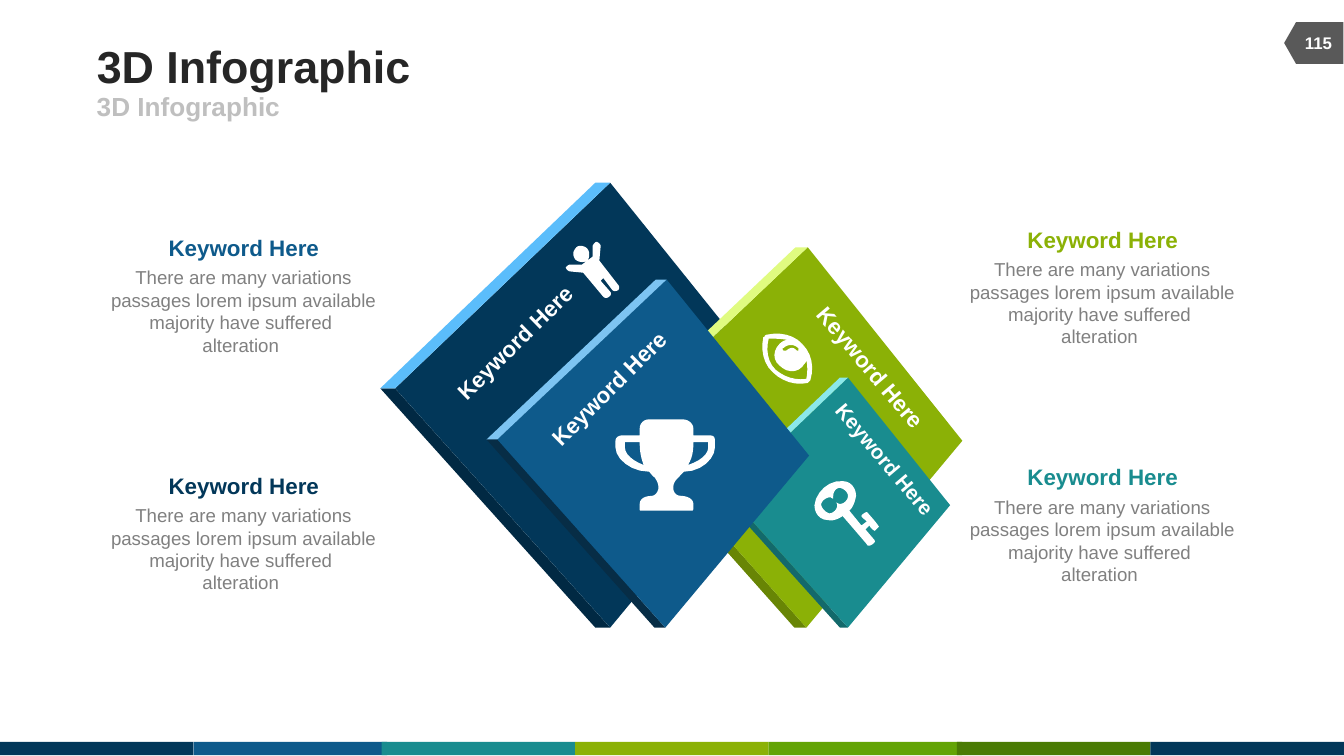
"""Build a 3D infographic slide with four tilted blocks, icons and captions."""
from pptx import Presentation
from pptx.dml.color import RGBColor
from pptx.enum.shapes import MSO_SHAPE as SHAPE
from pptx.enum.text import MSO_ANCHOR as ANCHOR, PP_ALIGN as ALIGN
from pptx.util import Inches, Pt

COLORS = {
    "navy": "023759", "navy_light": "5BBDFB", "navy_dark": "012943",
    "blue": "0E5A8B", "blue_light": "7DC4F2", "blue_dark": "072D46",
    "lime": "8BB106", "lime_light": "E0FB80", "lime_dark": "688505",
    "teal": "198C8F", "teal_light": "8BE8EB", "teal_dark": "13696B",
    "green": "63A406", "forest": "4A7B04", "white": "FFFFFF",
    "title": "262626", "subtitle": "BFBFBF", "body": "808080", "badge": "595959",
}
KEYWORD = "Keyword Here"
BODY = ("There are many variations passages lorem ipsum available "
        "majority have suffered \valteration ")

prs = Presentation()
prs.slide_width = Inches(10)
prs.slide_height = prs.slide_width * 9 // 16
slide = prs.slides.add_slide(prs.slide_layouts[5])
shapes = slide.shapes


def write(box, text, size, color, align=ALIGN.CENTER, bold=True, wrap=True, anchor=ANCHOR.TOP):
    frame = box.text_frame
    frame.margin_left = frame.margin_right = frame.margin_top = frame.margin_bottom = 0
    frame.word_wrap, frame.vertical_anchor = wrap, anchor
    frame.text = text
    paragraph = frame.paragraphs[0]
    paragraph.alignment = align
    for run in paragraph.runs:
        run.font.name, run.font.size, run.font.bold = "Arial", Pt(size), bold
        run.font.color.rgb = RGBColor.from_string(COLORS[color])


def draw_outline(contours, color, steps=6):
    builder = shapes.build_freeform(Inches(contours[0][0][0]), Inches(contours[0][0][1]))
    for number, (start, *segments) in enumerate(contours):
        if number:
            builder.move_to(Inches(start[0]), Inches(start[1]))
        points, (x, y) = [], start
        for segment in segments:
            if len(segment) == 2:
                points.append(segment)
            else:
                x1, y1, x2, y2, x3, y3 = segment
                for t in (step / steps for step in range(1, steps + 1)):
                    a, b, c, d = (1 - t) ** 3, 3 * t * (1 - t) ** 2, 3 * t * t * (1 - t), t ** 3
                    points.append((a * x + b * x1 + c * x2 + d * x3,
                                   a * y + b * y1 + c * y2 + d * y3))
            x, y = segment[-2:]
        builder.add_line_segments([(Inches(px), Inches(py)) for px, py in points], close=True)
    outline = builder.convert_to_shape()
    outline.shadow.inherit = False
    outline.fill.solid()
    outline.fill.fore_color.rgb = RGBColor.from_string(COLORS[color])
    outline.line.fill.background()


stripe_colors = ["navy", "blue", "teal", "lime", "green", "forest", "navy"]
stripe_lefts = [0, 1.44, 2.84, 4.28, 5.72, 7.12, 8.56]
furniture = [(SHAPE.RECTANGLE, (left, 5.52, 1.44, 0.1), 0, color)
             for left, color in zip(stripe_lefts, stripe_colors)]
furniture.append((SHAPE.FLOWCHART_OFFPAGE_CONNECTOR, (9.62, 0.1, 0.31, 0.44), 90, "badge"))
for kind, bounds, rotation, color in furniture:
    piece = shapes.add_shape(kind, *map(Inches, bounds))
    piece.rotation = rotation
    piece.shadow.inherit = False
    piece.fill.solid()
    piece.fill.fore_color.rgb = RGBColor.from_string(COLORS[color])
    piece.line.fill.background()

title = shapes.title
title.left, title.top, title.width, title.height = map(Inches, (0.72, 0.29, 6.17, 0.39))
write(title, "3D Infographic", 24, "title", ALIGN.LEFT, anchor=ANCHOR.MIDDLE)
subtitle = shapes.add_textbox(*map(Inches, (0.72, 0.68, 4.5, 0.22)))
write(subtitle, "3D Infographic", 14, "subtitle", ALIGN.LEFT, anchor=ANCHOR.MIDDLE)
page_number = shapes.add_textbox(*map(Inches, (9.6, 0.17, 0.42, 0.3)))
write(page_number, "115", 9, "white", anchor=ANCHOR.MIDDLE)

blocks = [
    ("navy", (4.54, 1.36), (5.89, 3.04), (4.54, 4.67), (2.94, 2.89), 0.11),
    ("lime", (6.01, 1.84), (7.16, 3.28), (6, 4.67), (4.64, 3.14), 0.09),
    ("teal", (6.31, 2.81), (7.07, 3.76), (6.31, 4.67), (5.41, 3.67), 0.06),
    ("blue", (4.96, 2.08), (6.02, 3.39), (4.95, 4.67), (3.7, 3.27), 0.08),
]
for color, top, right, bottom, left, depth in blocks:
    back_top, back_bottom, back_left = [(x - depth, y) for x, y in (top, bottom, left)]
    draw_outline([[left, back_left, back_bottom, bottom]], color + "_dark")
    draw_outline([[top, right, bottom, left]], color)
    draw_outline([[top, left, back_left, back_top]], color + "_light")

block_keywords = [
    (3.26, 2.45, 1.13, 0.2, 315.7, 12),
    (3.96, 2.79, 1.13, 0.2, 315.2, 12),
    (5.91, 2.63, 1.13, 0.2, 49.8, 12),
    (6.06, 3.32, 1.04, 0.19, 49.8, 11),
]
for *bounds, rotation, size in block_keywords:
    block_keyword = shapes.add_textbox(*map(Inches, bounds))
    block_keyword.rotation = rotation
    write(block_keyword, KEYWORD, size, "white", ALIGN.RIGHT, wrap=False)

trophy = [
    [(5.32, 3.33), (5.32, 3.41, 5.22, 3.51, 5.09, 3.51), (5.07, 3.53, 5.05, 3.55, 5.05, 3.55),
     (5.02, 3.58, 5.01, 3.6, 5.01, 3.63), (5.01, 3.65, 5.02, 3.69, 5.07, 3.69),
     (5.11, 3.69, 5.16, 3.71, 5.16, 3.75), (5.16, 3.78), (5.16, 3.8, 5.15, 3.8, 5.15, 3.8),
     (4.77, 3.8), (4.76, 3.8, 4.76, 3.8, 4.76, 3.78), (4.76, 3.75),
     (4.76, 3.71, 4.8, 3.69, 4.85, 3.69), (4.88, 3.69, 4.9, 3.65, 4.9, 3.63),
     (4.9, 3.6, 4.89, 3.58, 4.87, 3.55), (4.86, 3.55, 4.85, 3.53, 4.83, 3.51),
     (4.69, 3.51, 4.58, 3.41, 4.58, 3.33), (4.58, 3.28), (4.58, 3.25, 4.61, 3.24, 4.63, 3.24),
     (4.76, 3.24), (4.76, 3.19), (4.76, 3.15, 4.79, 3.12, 4.83, 3.12), (5.08, 3.12),
     (5.12, 3.12, 5.16, 3.15, 5.16, 3.19), (5.16, 3.24), (5.28, 3.24),
     (5.31, 3.24, 5.32, 3.25, 5.32, 3.28)],
    [(4.76, 3.29), (4.65, 3.29), (4.65, 3.33), (4.65, 3.38, 4.71, 3.43, 4.79, 3.46),
     (4.77, 3.41, 4.76, 3.36, 4.76, 3.29)],
    [(5.27, 3.29), (5.16, 3.29), (5.16, 3.36, 5.15, 3.41, 5.12, 3.46),
     (5.21, 3.43, 5.27, 3.38, 5.27, 3.33)],
]
key = [
    [(6.51, 3.95), (6.5, 3.95, 6.47, 3.92, 6.47, 3.91), (6.44, 3.94), (6.5, 4.01),
     (6.5, 4.01, 6.51, 4.02, 6.51, 4.03), (6.51, 4.04, 6.48, 4.06, 6.47, 4.06),
     (6.46, 4.06, 6.45, 4.06, 6.45, 4.05), (6.27, 3.84), (6.24, 3.86, 6.2, 3.88, 6.16, 3.87),
     (6.1, 3.87, 6.06, 3.82, 6.06, 3.76), (6.07, 3.66, 6.17, 3.57, 6.27, 3.58),
     (6.33, 3.58, 6.37, 3.63, 6.37, 3.69), (6.36, 3.74, 6.35, 3.77, 6.32, 3.8), (6.41, 3.91),
     (6.45, 3.88), (6.44, 3.87, 6.41, 3.85, 6.41, 3.84), (6.41, 3.83, 6.44, 3.81, 6.45, 3.81),
     (6.46, 3.82), (6.46, 3.82, 6.54, 3.91, 6.54, 3.92), (6.54, 3.92, 6.51, 3.95, 6.51, 3.95)],
    [(6.25, 3.63), (6.22, 3.63, 6.2, 3.66, 6.2, 3.69), (6.2, 3.71),
     (6.19, 3.71, 6.18, 3.7, 6.18, 3.7), (6.15, 3.7, 6.12, 3.72, 6.11, 3.75),
     (6.11, 3.78, 6.14, 3.81, 6.17, 3.82), (6.2, 3.82, 6.23, 3.79, 6.23, 3.76),
     (6.23, 3.75, 6.23, 3.75, 6.22, 3.74), (6.23, 3.74, 6.24, 3.75, 6.25, 3.75),
     (6.28, 3.75, 6.31, 3.72, 6.31, 3.69), (6.31, 3.67, 6.29, 3.64, 6.25, 3.63)],
]
eye = [
    [(6.01, 2.85), (5.92, 2.87, 5.82, 2.84, 5.75, 2.77), (5.68, 2.71, 5.66, 2.6, 5.68, 2.51),
     (5.69, 2.51, 5.69, 2.5, 5.69, 2.5), (5.7, 2.49, 5.71, 2.49, 5.71, 2.49),
     (5.8, 2.47, 5.91, 2.49, 5.97, 2.56), (6.04, 2.63, 6.06, 2.73, 6.03, 2.83),
     (6.03, 2.83, 6.03, 2.83, 6.02, 2.84), (6.02, 2.84, 6.01, 2.85, 6.01, 2.85)],
    [(6, 2.68), (6, 2.7, 5.98, 2.71, 5.97, 2.73), (5.92, 2.78, 5.85, 2.77, 5.8, 2.72),
     (5.75, 2.68, 5.75, 2.61, 5.8, 2.56), (5.82, 2.54, 5.84, 2.53, 5.86, 2.53),
     (5.81, 2.52, 5.76, 2.52, 5.72, 2.52), (5.7, 2.6, 5.71, 2.69, 5.77, 2.75),
     (5.84, 2.81, 5.92, 2.83, 6, 2.82), (6.01, 2.77, 6.01, 2.72, 6, 2.68)],
    [(5.94, 2.59), (5.91, 2.56, 5.86, 2.56, 5.83, 2.59), (5.82, 2.59, 5.82, 2.6, 5.83, 2.61),
     (5.83, 2.61, 5.84, 2.61, 5.85, 2.61), (5.87, 2.59, 5.9, 2.58, 5.92, 2.6),
     (5.93, 2.61, 5.93, 2.61, 5.94, 2.61), (5.94, 2.6, 5.94, 2.59, 5.94, 2.59)],
]
person = [
    [(4.46, 1.94), (4.6, 2.12), (4.61, 2.13, 4.61, 2.15, 4.6, 2.16),
     (4.58, 2.17, 4.56, 2.17, 4.55, 2.15), (4.49, 2.07), (4.47, 2.09), (4.54, 2.17),
     (4.55, 2.18, 4.55, 2.2, 4.53, 2.21), (4.52, 2.22, 4.5, 2.22, 4.49, 2.21), (4.34, 2.03),
     (4.24, 2.02), (4.23, 2.02, 4.21, 2, 4.21, 1.99), (4.22, 1.98, 4.23, 1.97, 4.24, 1.97),
     (4.33, 1.97), (4.41, 1.91), (4.41, 1.83), (4.42, 1.81, 4.43, 1.8, 4.44, 1.8),
     (4.45, 1.8, 4.47, 1.82, 4.47, 1.83)],
    [(4.37, 1.94), (4.34, 1.96, 4.3, 1.95, 4.28, 1.93), (4.26, 1.9, 4.26, 1.87, 4.29, 1.84),
     (4.31, 1.82, 4.35, 1.83, 4.37, 1.85), (4.39, 1.87, 4.39, 1.92, 4.37, 1.94)],
]
for icon in (trophy, key, eye, person):
    draw_outline(icon, "white")

captions = [(7.18, 1.68, "lime"), (7.18, 3.45, "teal"), (0.79, 1.74, "blue"), (0.79, 3.51, "navy")]
for left, top, color in captions:
    body = shapes.add_textbox(*map(Inches, (left, top + 0.24, 2.04, 0.67)))
    write(body, BODY, 10, "body", bold=False)
    heading = shapes.add_textbox(*map(Inches, (left + 0.46, top, 1.13, 0.2)))
    write(heading, KEYWORD, 12, color, wrap=False)

prs.save("out.pptx")
